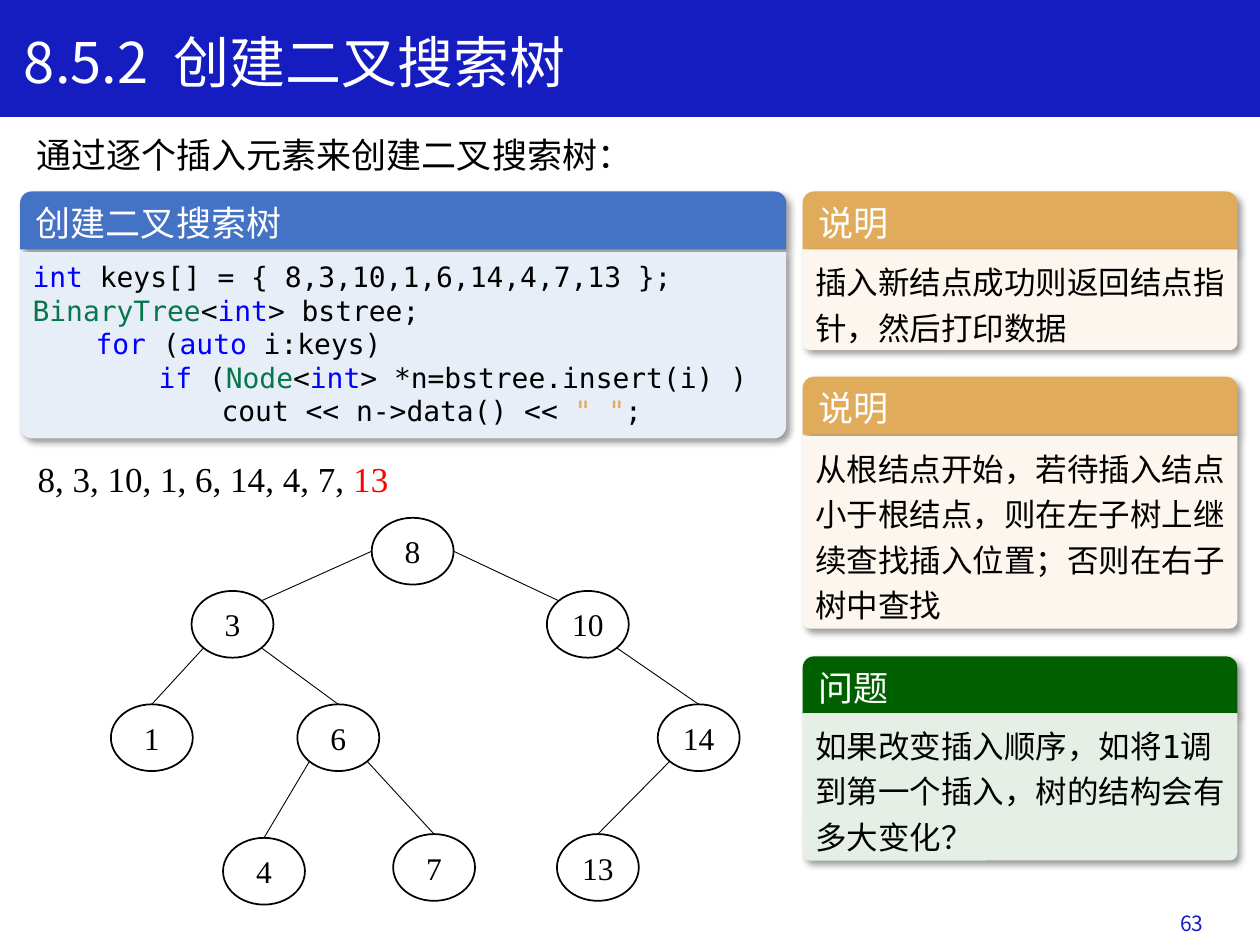
from lxml import etree
from pptx import Presentation
from pptx.dml.color import RGBColor
from pptx.enum.shapes import MSO_CONNECTOR, MSO_SHAPE
from pptx.enum.text import MSO_ANCHOR, MSO_AUTO_SIZE, PP_ALIGN
from pptx.oxml.ns import qn
from pptx.util import Inches, Pt

WHITE = RGBColor(0xFF, 0xFF, 0xFF)
BLACK = RGBColor(0, 0, 0)
RED = RGBColor(0xFF, 0, 0)
NAVY = RGBColor(0x15, 0x1D, 0xC1)
BLUE = RGBColor(0x44, 0x72, 0xC4)
PALE_BLUE = RGBColor(0xE8, 0xEE, 0xF8)
ORANGE = RGBColor(0xE0, 0xAB, 0x5B)
PALE_ORANGE = RGBColor(0xFC, 0xF6, 0xEE)
GREEN = RGBColor(0, 0x60, 0)
PALE_GREEN = RGBColor(0xE5, 0xEF, 0xE5)
KEYWORD = RGBColor(0, 0, 0xFF)
TYPE = RGBColor(0x08, 0x76, 0x4C)

SANS = "Noto Sans CJK SC"
MONO = "DejaVu Sans Mono"
SERIF = "Times New Roman"

NODE_WIDTH, NODE_HEIGHT = 0.65, 0.53
DIAGONAL = 0.35  # cos(45°) / 2: ellipse corner offset per unit of size
HEADER_HEIGHT = 0.46

INT = ("int", KEYWORD)
CODE = [
    [INT, (" keys[] = { 8,3,10,1,6,14,4,7,13 };", BLACK)],
    [("BinaryTree", TYPE), ("<", BLACK), INT, ("> bstree;", BLACK)],
    [("\t", BLACK), ("for", KEYWORD), (" (", BLACK), ("auto", KEYWORD), (" i:keys)", BLACK)],
    [("\t\t", BLACK), ("if", KEYWORD), (" (", BLACK), ("Node", TYPE), ("<", BLACK), INT,
     ("> *n=bstree.insert(i) )", BLACK)],
    [("\t\t\tcout << n->data() << ", BLACK), ('" "', ORANGE), (";", BLACK)],
]

# header, header fill, body fill, top, body top, bottom, body text
NOTES = [
    ("说明", ORANGE, PALE_ORANGE, 1.52, 1.98, 2.78,
     "插入新结点成功则返回结点指针，然后打印数据"),
    ("说明", ORANGE, PALE_ORANGE, 2.99, 3.46, 4.99,
     "从根结点开始，若待插入结点小于根结点，则在左子树上继续查找插入位置；否则在右子树中查找"),
    ("问题", GREEN, PALE_GREEN, 5.21, 5.66, 6.83,
     "如果改变插入顺序，如将1调到第一个插入，树的结构会有多大变化？"),
]

NODES = {8: (2.95, 4.11), 3: (1.52, 4.69), 10: (4.34, 4.69), 1: (0.88, 5.59), 6: (2.36, 5.59),
         14: (5.22, 5.59), 4: (1.77, 6.65), 7: (3.12, 6.62), 13: (4.42, 6.62)}
ROOT = 8
EDGES = [(8, 3), (8, 10), (3, 1), (3, 6), (10, 14), (6, 4), (6, 7), (14, 13)]


class SlideBuilder:
    def __init__(self, page):
        self.page = page

    def set_text(self, shape, lines, size, font, align=PP_ALIGN.LEFT, anchor=MSO_ANCHOR.TOP,
                 spacing=None):
        """Fill a shape with lines, each a list of (text, colour) spans."""
        frame = shape.text_frame
        frame.word_wrap = True
        frame.vertical_anchor = anchor
        for index, spans in enumerate(lines):
            para = frame.add_paragraph() if index else frame.paragraphs[0]
            para.alignment = align
            para.line_spacing = spacing
            for text, colour in spans:
                span = para.add_run()
                span.text = text
                span.font.size = Pt(size)
                span.font.name = font
                span.font.color.rgb = colour
                east_asian = etree.SubElement(span.font._element, qn("a:ea"))
                east_asian.set("typeface", SANS)

    def title(self, text):
        box = self.page.shapes.title
        box.left, box.top, box.width, box.height = map(Inches, (0.09, 0.17, 9.31, 0.64))
        box.text_frame.auto_size = MSO_AUTO_SIZE.NONE
        self.set_text(box, [[(text, WHITE)]], 32, SANS)

    def band(self, height):
        shape = self.page.shapes.add_shape(MSO_SHAPE.RECTANGLE, 0, 0, Inches(10), Inches(height))
        shape.shadow.inherit = False
        shape.fill.solid()
        shape.fill.fore_color.rgb = NAVY
        shape.line.color.rgb = NAVY
        shape.line.width = Pt(1)
        tree = shape.element.getparent()
        tree.insert(2, shape.element)  # behind the title

    def text(self, at, spans, size, font, **layout):
        box = self.page.shapes.add_textbox(*map(Inches, at))
        self.set_text(box, [spans], size, font, **layout)

    def rounded(self, group, at, fill, top_radius=0, bottom_radius=0):
        left, top, width, height = at
        shape = group.shapes.add_shape(MSO_SHAPE.ROUND_2_SAME_RECTANGLE, *map(Inches, at))
        shape.adjustments[0] = top_radius / min(width, height)
        shape.adjustments[1] = bottom_radius / min(width, height)
        shape.fill.solid()
        shape.fill.fore_color.rgb = fill
        shape.line.fill.background()
        shape.shadow.inherit = False
        effects = shape.element.spPr.find(qn("a:effectLst"))
        shadow = etree.SubElement(effects, qn("a:outerShdw"), blurRad=str(Pt(4)),
                                  dist=str(Pt(3)), dir="2700000", algn="tl", rotWithShape="0")
        colour = etree.SubElement(shadow, qn("a:srgbClr"), val="000000")
        etree.SubElement(colour, qn("a:alpha"), val="40000")
        return shape

    def panel(self, left, width, tops, bottom, fills, header, lines, size, radius, **layout):
        """Draw a header with rounded top corners over a body with rounded bottom corners."""
        top, body_top = tops
        group = self.page.shapes.add_group_shape()
        head = self.rounded(group, (left, top, width, HEADER_HEIGHT), fills[0], top_radius=0.09)
        self.set_text(head, [[(header, WHITE)]], 20, SANS, anchor=MSO_ANCHOR.MIDDLE)
        body = self.rounded(group, (left, body_top, width, bottom - body_top), fills[1],
                            bottom_radius=radius)
        frame = body.text_frame
        frame.margin_left = frame.margin_right = Inches(0.1 - 0.3 * radius)
        self.set_text(body, lines, size, MONO, **layout)

    def node(self, key, left, top):
        shape = self.page.shapes.add_shape(MSO_SHAPE.FLOWCHART_CONNECTOR, Inches(left),
                                           Inches(top), Inches(NODE_WIDTH), Inches(NODE_HEIGHT))
        shape.shadow.inherit = False
        shape.fill.solid()
        shape.fill.fore_color.rgb = WHITE
        shape.line.color.rgb = BLACK
        shape.line.width = Pt(1)
        frame = shape.text_frame
        frame.margin_left = frame.margin_right = 0
        self.set_text(shape, [[(str(key), BLACK)]], 18, SERIF, PP_ALIGN.CENTER,
                      MSO_ANCHOR.MIDDLE)
        return shape

    def edge(self, parent, child, from_root):
        """Join the root's side to a child's corner, or a lower corner to a child's top."""
        def point(shape, across, down):
            return (int(shape.left + shape.width * (0.5 + across)),
                    int(shape.top + shape.height * (0.5 + down)))

        side = 1 if child.left > parent.left else -1
        if from_root:
            start = point(parent, side * 0.5, 0)
            end = point(child, -side * DIAGONAL, -DIAGONAL)
        else:
            start = point(parent, side * DIAGONAL, DIAGONAL)
            end = point(child, 0, -0.5)
        line = self.page.shapes.add_connector(MSO_CONNECTOR.STRAIGHT, *start, *end)
        if not from_root:
            line.end_connect(child, 0)
        line.line.color.rgb = BLACK
        line.line.width = Pt(0.5)
        etree.SubElement(line.element.spPr, qn("a:effectLst"))


def main():
    deck = Presentation()
    deck.slide_width, deck.slide_height = Inches(10), Inches(7.5)
    builder = SlideBuilder(deck.slides.add_slide(deck.slide_layouts[5]))

    builder.band(0.92)
    builder.title("8.5.2  创建二叉搜索树")
    builder.text((7.4, 7.13, 2.25, 0.4), [("63", NAVY)], 12, SANS,
                 align=PP_ALIGN.RIGHT, anchor=MSO_ANCHOR.MIDDLE)
    builder.text((0.19, 1.01, 5.64, 0.44), [("通过逐个插入元素来创建二叉搜索树：", BLACK)], 20, SANS)

    builder.panel(0.16, 6.08, (1.52, 2), 3.48, (BLUE, PALE_BLUE), "创建二叉搜索树", CODE, 16,
                  0.1, anchor=MSO_ANCHOR.MIDDLE)
    for header, dark, pale, top, body_top, bottom, text in NOTES:
        builder.panel(6.37, 3.45, (top, body_top), bottom, (dark, pale), header,
                      [[(text, BLACK)]], 18, 0.06, spacing=Pt(26))

    builder.text((0.2, 3.58, 3.01, 0.44), [("8, 3, 10, 1, 6, 14, 4, 7, ", BLACK), ("13", RED)],
                 20, SERIF)
    nodes = {key: builder.node(key, *place) for key, place in NODES.items()}
    for parent, child in EDGES:
        builder.edge(nodes[parent], nodes[child], parent == ROOT)

    deck.save("out.pptx")


if __name__ == "__main__":
    main()
